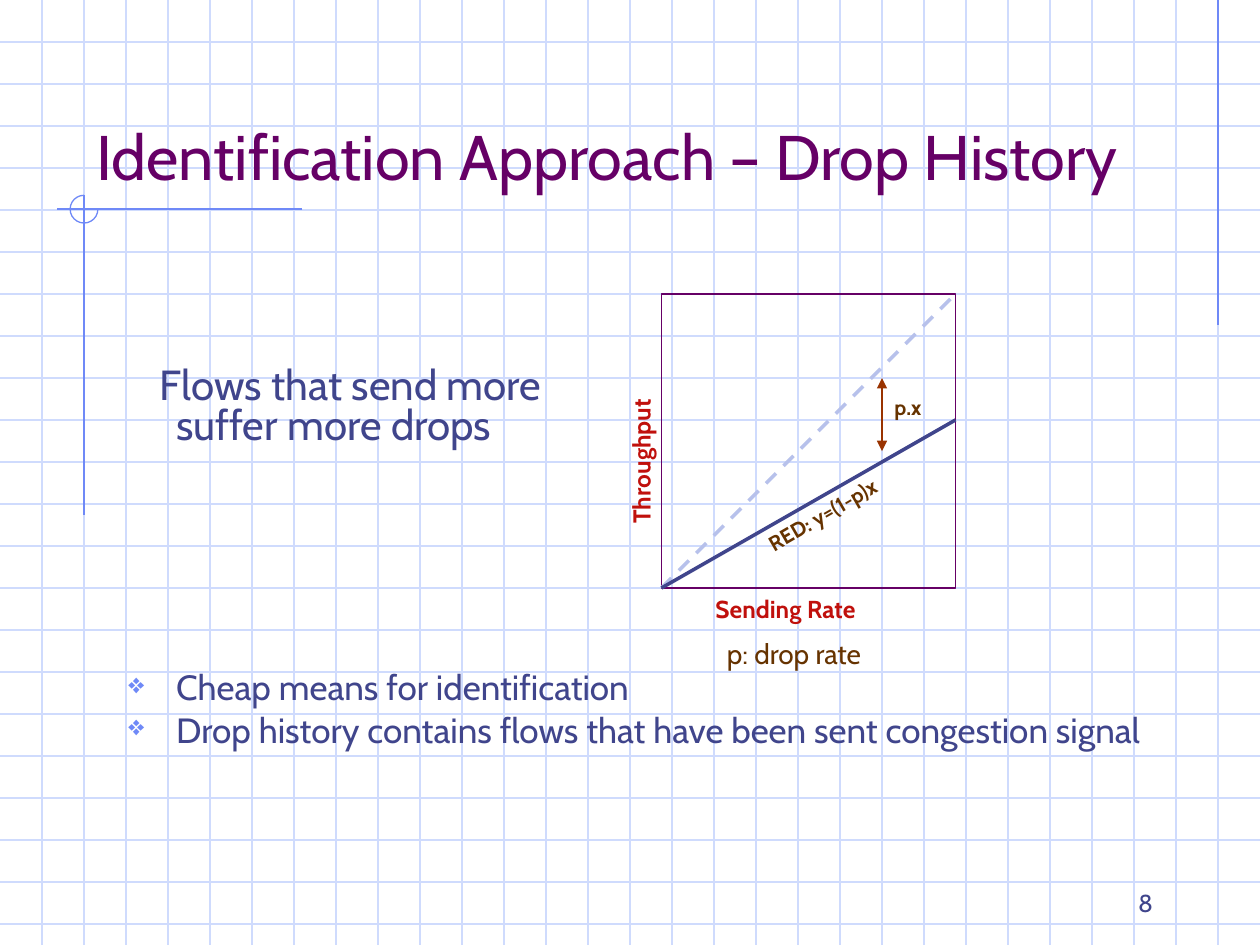
"""Build the slide on identifying flows by their drop history."""
from lxml import etree
from pptx import Presentation
from pptx.dml.color import RGBColor
from pptx.enum.dml import MSO_LINE
from pptx.enum.shapes import MSO_CONNECTOR, MSO_SHAPE
from pptx.enum.text import MSO_ANCHOR, PP_ALIGN
from pptx.oxml.ns import qn
from pptx.util import Inches, Pt

STRAIGHT = MSO_CONNECTOR.STRAIGHT
RECTANGLE, ARC = MSO_SHAPE.RECTANGLE, MSO_SHAPE.ARC
TOP, BOTTOM = MSO_ANCHOR.TOP, MSO_ANCHOR.BOTTOM
LEFT, RIGHT = PP_ALIGN.LEFT, PP_ALIGN.RIGHT
DASH = MSO_LINE.DASH

FONT = "Cabin"
COLORS = {
    "grid": "CFDBFD", "accent": "6F89F7", "title": "660066", "body": "40458C",
    "axis": "C0100C", "note": "663300", "ideal": "B7C1EB", "arrow": "993300",
}
WIDTH, HEIGHT = 10, 7.5
CELL = 1 / 3
PLOT_LEFT, PLOT_TOP, PLOT_SIZE = 5.25, 7 * CELL, 7 * CELL
PLOT_RIGHT, PLOT_BOTTOM = PLOT_LEFT + PLOT_SIZE, PLOT_TOP + PLOT_SIZE
RING_X, RING_Y, RING_RADIUS = 2 * CELL, 1.66, 0.11

TITLE = "Identification Approach – Drop History"
CLAIM = "Flows that send more\vsuffer more drops"
BULLETS = [
    "Cheap means for identification",
    "Drop history contains flows that have been sent congestion signal",
]
LABELS = [
    ("Sending Rate", (5.58, PLOT_BOTTOM, 1.58, 0.34), 14, "axis", True, 0),
    ("Throughput", (4.34, 10 * CELL, 1.5, 0.34), 14, "axis", True, 270),
    ("p.x", (7, 3.08, 0.5, 0.3), 12, "note", True, 0),
    ("p: drop rate", (5.67, 5, 1.5, 0.37), 16, "note", False, 0),
    ("RED: y=(1-p)x", (5.92, 3.83, 1.58, 0.3), 12, "note", True, 330),
]
FRAME_LINES = [
    (29 * CELL, 0, 29 * CELL, 2.58),
    (2.4, RING_Y, 0.45, RING_Y),
    (RING_X, RING_Y - RING_RADIUS, RING_X, 4.09),
]


def color(name):
    return RGBColor.from_string(COLORS[name])


def add_line(slide, ends, color_name, width=0.75):
    line = slide.shapes.add_connector(STRAIGHT, *(Inches(value) for value in ends))
    line.line.color.rgb = color(color_name)
    line.line.width = Pt(width)
    etree.SubElement(line._element.spPr, qn("a:effectLst"))
    return line


def add_outline(slide, kind, box, color_name):
    shape = slide.shapes.add_shape(kind, *(Inches(value) for value in box))
    shape.shadow.inherit = False
    shape.fill.background()
    shape.line.color.rgb = color(color_name)
    shape.line.width = Pt(0.75)
    return shape


def format_paragraph(paragraph, size, color_name, bold=False, align=LEFT):
    paragraph.alignment = align
    for run in paragraph.runs:
        run.font.name = FONT
        run.font.size = Pt(size)
        run.font.bold = bold
        run.font.color.rgb = color(color_name)


def add_text(slide, box, lines, size, color_name, bold=False, align=LEFT, anchor=TOP):
    shape = slide.shapes.add_textbox(*(Inches(value) for value in box))
    frame = shape.text_frame
    frame.word_wrap = True
    frame.vertical_anchor = anchor
    frame.text = "\n".join(lines)
    for paragraph in frame.paragraphs:
        format_paragraph(paragraph, size, color_name, bold, align)
    return shape


def set_indent(paragraph, margin, indent):
    properties = paragraph._p.get_or_add_pPr()
    properties.set("marL", str(Inches(margin)))
    properties.set("indent", str(Inches(indent)))
    paragraph.line_spacing = 0.8
    return properties


def add_bullet(paragraph):
    properties = set_indent(paragraph, 0.38, -0.38)
    bullet_color = etree.SubElement(properties, qn("a:buClr"))
    etree.SubElement(bullet_color, qn("a:srgbClr"), val=COLORS["accent"])
    etree.SubElement(properties, qn("a:buSzPct"), val="80000")
    etree.SubElement(properties, qn("a:buChar"), char="❖")


def draw_background(slide):
    for row in range(1, 23):
        add_line(slide, (0, row * CELL, WIDTH, row * CELL), "grid")
    for column in range(1, 30):
        add_line(slide, (column * CELL, 0, column * CELL, HEIGHT), "grid")
    for ends in FRAME_LINES:
        add_line(slide, ends, "accent")
    ring_box = (RING_X - RING_RADIUS, RING_Y - RING_RADIUS, 2 * RING_RADIUS, 2 * RING_RADIUS)
    ring = add_outline(slide, ARC, ring_box, "accent")
    ring.adjustments[0] = 0
    ring.adjustments[1] = 162


def place_title(slide):
    title = slide.shapes.title
    slide.shapes._spTree.append(title._element)
    title.left, title.top = Inches(2 * CELL), Inches(CELL)
    title.width, title.height = Inches(8.75), Inches(1.25)
    title.text_frame.text = TITLE
    title.text_frame.vertical_anchor = BOTTOM
    format_paragraph(title.text_frame.paragraphs[0], 36, "title")


def draw_plot(slide):
    add_outline(slide, RECTANGLE, (PLOT_LEFT, PLOT_TOP, PLOT_SIZE, PLOT_SIZE), "title")
    ideal = add_line(slide, (PLOT_LEFT, PLOT_BOTTOM, PLOT_RIGHT, PLOT_TOP), "ideal", 2)
    ideal.line.dash_style = DASH
    add_line(slide, (PLOT_LEFT, PLOT_BOTTOM, PLOT_RIGHT, 10 * CELL), "body", 2)
    gap = add_line(slide, (7, 3, 7, 3.58), "arrow")
    for end in ("a:headEnd", "a:tailEnd"):
        etree.SubElement(gap.line._get_or_add_ln(), qn(end), type="triangle")
    for text, box, size, color_name, bold, rotation in LABELS:
        label = add_text(slide, box, [text], size, color_name, bold)
        label.rotation = rotation


def main():
    presentation = Presentation()
    presentation.slide_width, presentation.slide_height = Inches(WIDTH), Inches(HEIGHT)
    slide = presentation.slides.add_slide(presentation.slide_layouts[5])
    draw_background(slide)
    place_title(slide)
    claim = add_text(slide, (0.92, 2.87, 4, 0.76), [CLAIM], 24, "body")
    set_indent(claim.text_frame.paragraphs[0], 0.38, -0.13)
    points = add_text(slide, (0.92, 5.3, 8.5, 0.75), BULLETS, 20, "body")
    for index, paragraph in enumerate(points.text_frame.paragraphs):
        paragraph.space_before = Pt(5 if index else 0)
        add_bullet(paragraph)
    draw_plot(slide)
    add_text(slide, (7.17, 6.83, 2.08, 0.5), ["8"], 14, "body", align=RIGHT, anchor=BOTTOM)
    presentation.save("out.pptx")


if __name__ == "__main__":
    main()
